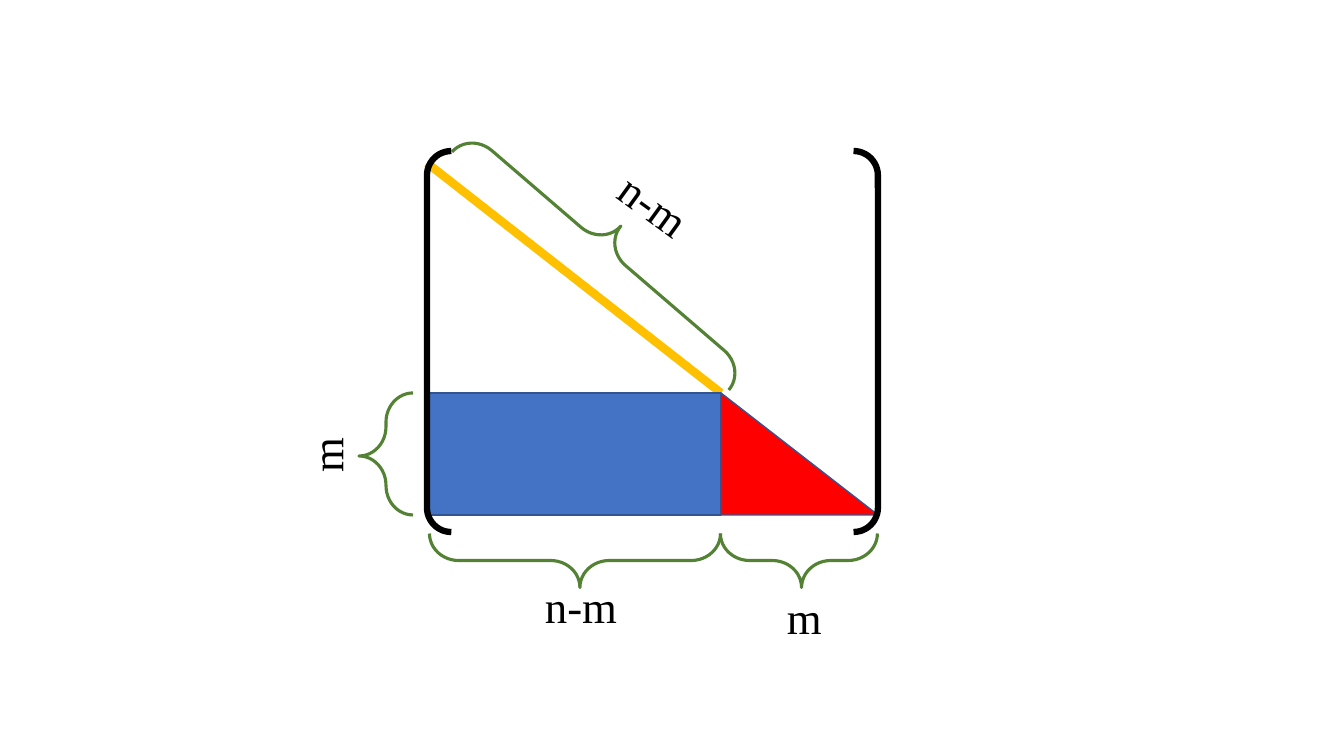
"""Build a slide showing the block structure of an n by n matrix."""
from dataclasses import dataclass

import pptx
import pptx.dml.color
import pptx.enum.shapes
import pptx.enum.text
import pptx.oxml
import pptx.oxml.ns
import pptx.util

EMU_PER_PIXEL = 914400 / 100.8
PRESET = pptx.enum.shapes.MSO_SHAPE
COLORS = {
    "diagonal": "FFC000",
    "block": "4472C4",
    "triangle": "FF0000",
    "outline": "325491",
    "bracket": "000000",
    "brace": "548235",
    "label": "000000",
}
LEFT, SPLIT, RIGHT = 427, 721, 878
TOP, MIDDLE, BOTTOM = 163, 393, 515
BRACKET_TOP, BRACKET_BOTTOM = 151, 532
BRACE_DEPTH, LABEL_HEIGHT = 54, 65


@dataclass(frozen=True)
class Part:
    """A preset shape given by its edges, rotation and style."""

    preset: pptx.enum.shapes.MSO_SHAPE
    left: int
    top: int
    right: int
    bottom: int
    line: str
    weight: float
    fill: str = ""
    rotation: float = 0
    adjustments: tuple[float, ...] = ()


@dataclass(frozen=True)
class Label:
    """A dimension label given by its centre, width and rotation."""

    text: str
    center_x: int
    center_y: int
    width: int
    rotation: float = 0


def px(pixels: float) -> pptx.util.Emu:
    """Convert pixels to EMU."""
    return pptx.util.Emu(round(pixels * EMU_PER_PIXEL))


def rgb(name: str) -> pptx.dml.color.RGBColor:
    """Look up a named colour."""
    return pptx.dml.color.RGBColor.from_string(COLORS[name])


def brace(center_x: int, center_y: int, span: int, rotation: float = 0) -> Part:
    """Describe a brace of fixed depth around its centre."""
    left, top = center_x - BRACE_DEPTH // 2, center_y - span // 2
    return Part(PRESET.LEFT_BRACE, left, top, left + BRACE_DEPTH, top + span,
                "brace", 2.25, rotation=rotation, adjustments=(0.542, 0.517))


def draw_diagonal(slide: pptx.slide.Slide) -> None:
    """Draw the diagonal of the upper part of the matrix."""
    diagonal = slide.shapes.add_connector(
        pptx.enum.shapes.MSO_CONNECTOR.STRAIGHT, px(LEFT), px(TOP), px(SPLIT), px(MIDDLE))
    diagonal.line.color.rgb = rgb("diagonal")
    diagonal.line.width = pptx.util.Pt(6)
    properties = diagonal._element.spPr
    properties.append(pptx.oxml.parse_xml(
        f'<a:effectLst {pptx.oxml.ns.nsdecls("a")}/>'))


def draw_part(slide: pptx.slide.Slide, part: Part) -> None:
    """Draw one block, bracket or brace."""
    shape = slide.shapes.add_shape(
        part.preset, px(part.left), px(part.top),
        px(part.right - part.left), px(part.bottom - part.top))
    shape.shadow.inherit = False
    shape.rotation = part.rotation
    for index, value in enumerate(part.adjustments):
        shape.adjustments[index] = value
    if part.fill:
        shape.fill.solid()
        shape.fill.fore_color.rgb = rgb(part.fill)
    else:
        shape.fill.background()
    shape.line.color.rgb = rgb(part.line)
    shape.line.width = pptx.util.Pt(part.weight)


def draw_label(slide: pptx.slide.Slide, label: Label) -> None:
    """Draw one dimension label."""
    box = slide.shapes.add_textbox(
        px(label.center_x - label.width / 2), px(label.center_y - LABEL_HEIGHT / 2),
        px(label.width), px(LABEL_HEIGHT))
    box.rotation = label.rotation
    box.text_frame.word_wrap = True
    box.text_frame.auto_size = pptx.enum.text.MSO_AUTO_SIZE.SHAPE_TO_FIT_TEXT
    run = box.text_frame.paragraphs[0].add_run()
    run.text = label.text
    run.font.name = "Times New Roman"
    run.font.size = pptx.util.Pt(32)
    run.font.color.rgb = rgb("label")


PARTS = [
    Part(PRESET.RECTANGLE, LEFT, MIDDLE, SPLIT, BOTTOM, "outline", 1, "block"),
    Part(PRESET.RIGHT_TRIANGLE, SPLIT, MIDDLE, RIGHT, BOTTOM, "outline", 1, "triangle"),
    Part(PRESET.DOUBLE_BRACKET, LEFT, BRACKET_TOP, RIGHT, BRACKET_BOTTOM,
         "bracket", 4.5, adjustments=(0.064,)),
    brace(386, 454, BOTTOM - MIDDLE),
    brace(575, 560, 291, 270),
    brace(799, 560, RIGHT - SPLIT, 270),
    brace(608, 250, 365, 130.7),
]
LABELS = [
    Label("n-m", 688, 229, 176, 36),
    Label("n-m", 623, 606, 176),
    Label("m", 326, 454, 56, 270),
    Label("m", 805, 617, 56),
]


def main() -> None:
    """Build and save the presentation."""
    presentation = pptx.Presentation()
    presentation.slide_width, presentation.slide_height = px(1344), px(756)
    slide = presentation.slides.add_slide(presentation.slide_layouts[6])
    draw_diagonal(slide)
    for part in PARTS:
        draw_part(slide, part)
    for label in LABELS:
        draw_label(slide, label)
    presentation.save("out.pptx")


main()
